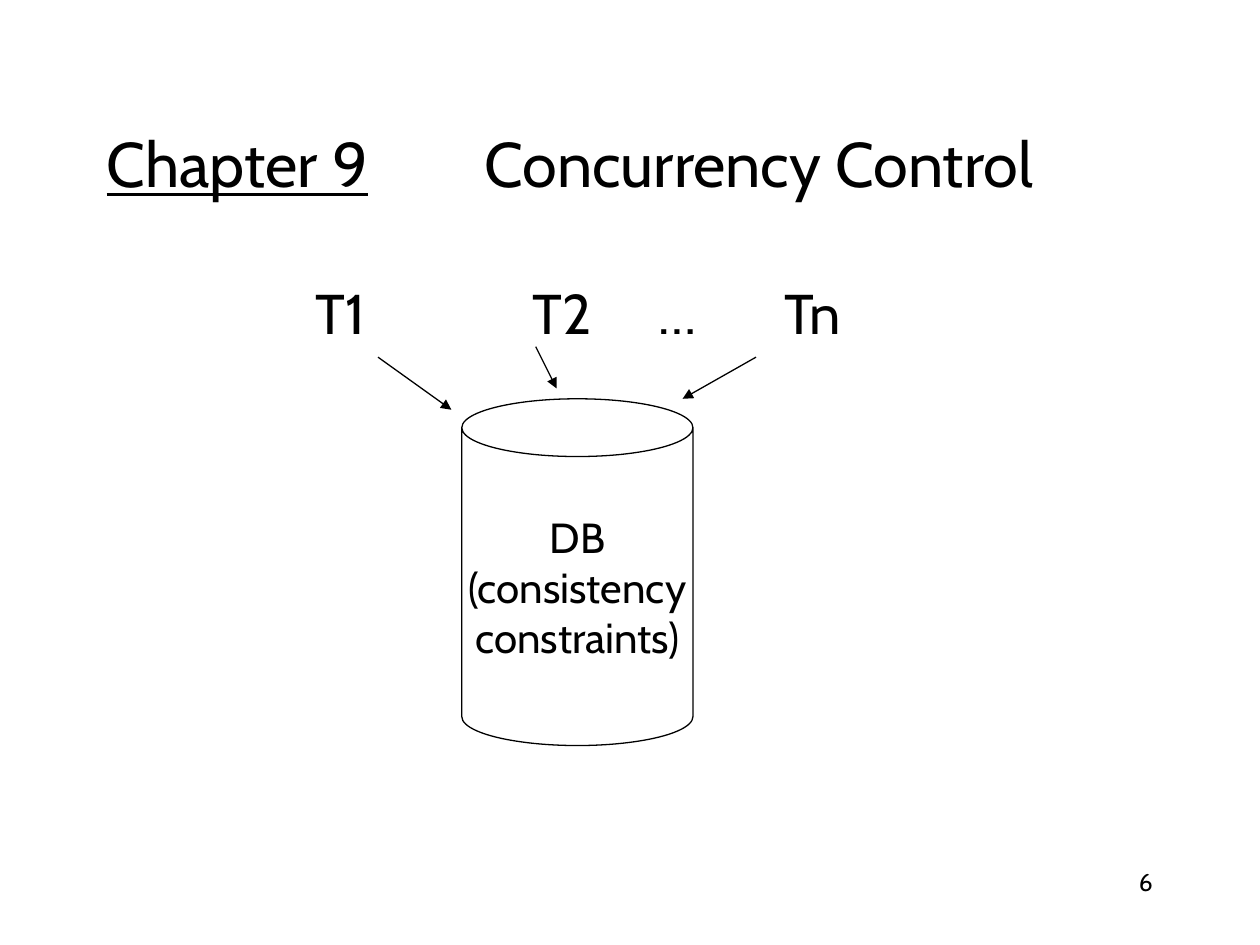
"""Build the Concurrency Control chapter slide."""
import dataclasses

import lxml.etree
import pptx
import pptx.dml.color
import pptx.enum.shapes
import pptx.enum.text
import pptx.oxml.ns
import pptx.util

Cm = pptx.util.Cm
ALIGN = pptx.enum.text.PP_ALIGN
ANCHOR = pptx.enum.text.MSO_ANCHOR


@dataclasses.dataclass(frozen=True)
class Theme:
    font: str = "Cabin"
    ink: pptx.dml.color.RGBColor = pptx.dml.color.RGBColor(0, 0, 0)
    paper: pptx.dml.color.RGBColor = pptx.dml.color.RGBColor(255, 255, 255)
    title_size: int = 36
    transaction_size: int = 32
    database_size: int = 24
    number_size: int = 14
    line_width: float = 0.75


class SlideBuilder:
    def __init__(self, slide, theme):
        self.slide = slide
        self.theme = theme

    def style_paragraph(self, paragraph, size, alignment, tabs=()):
        paragraph.alignment = alignment
        if tabs:
            properties = paragraph._p.get_or_add_pPr()
            tab_list = lxml.etree.SubElement(properties, pptx.oxml.ns.qn("a:tabLst"))
            for position in tabs:
                tab = lxml.etree.SubElement(tab_list, pptx.oxml.ns.qn("a:tab"))
                tab.set("pos", str(Cm(position)))
                tab.set("algn", "l")
        paragraph.font.name = self.theme.font
        paragraph.font.size = pptx.util.Pt(size)
        paragraph.font.color.rgb = self.theme.ink

    def add_text(self, box, runs, size, alignment=ALIGN.LEFT, anchor=ANCHOR.TOP, tabs=()):
        shape = self.slide.shapes.add_textbox(*map(Cm, box))
        frame = shape.text_frame
        frame.word_wrap = True
        frame.vertical_anchor = anchor
        paragraph = frame.paragraphs[0]
        self.style_paragraph(paragraph, size, alignment, tabs)
        for text, underlined in runs:
            run = paragraph.add_run()
            run.text = text
            if underlined:
                run.font.underline = True

    def add_cylinder(self, box, text, size):
        kind = pptx.enum.shapes.MSO_SHAPE.CAN
        shape = self.slide.shapes.add_shape(kind, *map(Cm, box))
        shape.adjustments[0] = 0.25
        shape.shadow.inherit = False
        shape.fill.solid()
        shape.fill.fore_color.rgb = self.theme.paper
        self.style_line(shape.line)
        frame = shape.text_frame
        frame.word_wrap = False
        frame.vertical_anchor = ANCHOR.MIDDLE
        frame.text = text
        for paragraph in frame.paragraphs:
            self.style_paragraph(paragraph, size, ALIGN.CENTER)

    def add_arrow(self, start, end):
        kind = pptx.enum.shapes.MSO_CONNECTOR.STRAIGHT
        connector = self.slide.shapes.add_connector(kind, *map(Cm, start + end))
        self.style_line(connector.line)
        tail = lxml.etree.SubElement(
            connector.line._get_or_add_ln(), pptx.oxml.ns.qn("a:tailEnd"))
        tail.set("type", "triangle")
        lxml.etree.SubElement(
            connector._element.spPr, pptx.oxml.ns.qn("a:effectLst"))

    def style_line(self, line):
        line.color.rgb = self.theme.ink
        line.width = pptx.util.Pt(self.theme.line_width)


def main():
    presentation = pptx.Presentation()
    presentation.slide_width, presentation.slide_height = Cm(25.4), Cm(19.05)
    theme = Theme()
    slide = presentation.slides.add_slide(presentation.slide_layouts[6])
    builder = SlideBuilder(slide, theme)

    builder.add_text((18.2, 17.36, 5.29, 1.27), [("6", False)],
                     theme.number_size, ALIGN.RIGHT)
    builder.add_text((1.9, 1.69, 21.59, 3.18),
                     [("Chapter 9", True), ("\tConcurrency Control", False)],
                     theme.title_size, anchor=ANCHOR.MIDDLE, tabs=(7.62,))
    builder.add_text((1.9, 5.5, 21.59, 11.43), [("\tT1\tT2\t…\tTn", False)],
                     theme.transaction_size, tabs=(4.22, 8.59, 11.13, 13.67))
    builder.add_cylinder((9.31, 8.04, 4.66, 6.99),
                         "DB\n(consistency\nconstraints)", theme.database_size)
    for start, end in (((7.62, 7.2), (9.1, 8.26)),
                       ((10.8, 6.99), (11.22, 7.83)),
                       ((15.24, 7.2), (13.76, 8.04))):
        builder.add_arrow(start, end)

    presentation.save("out.pptx")


if __name__ == "__main__":
    main()
